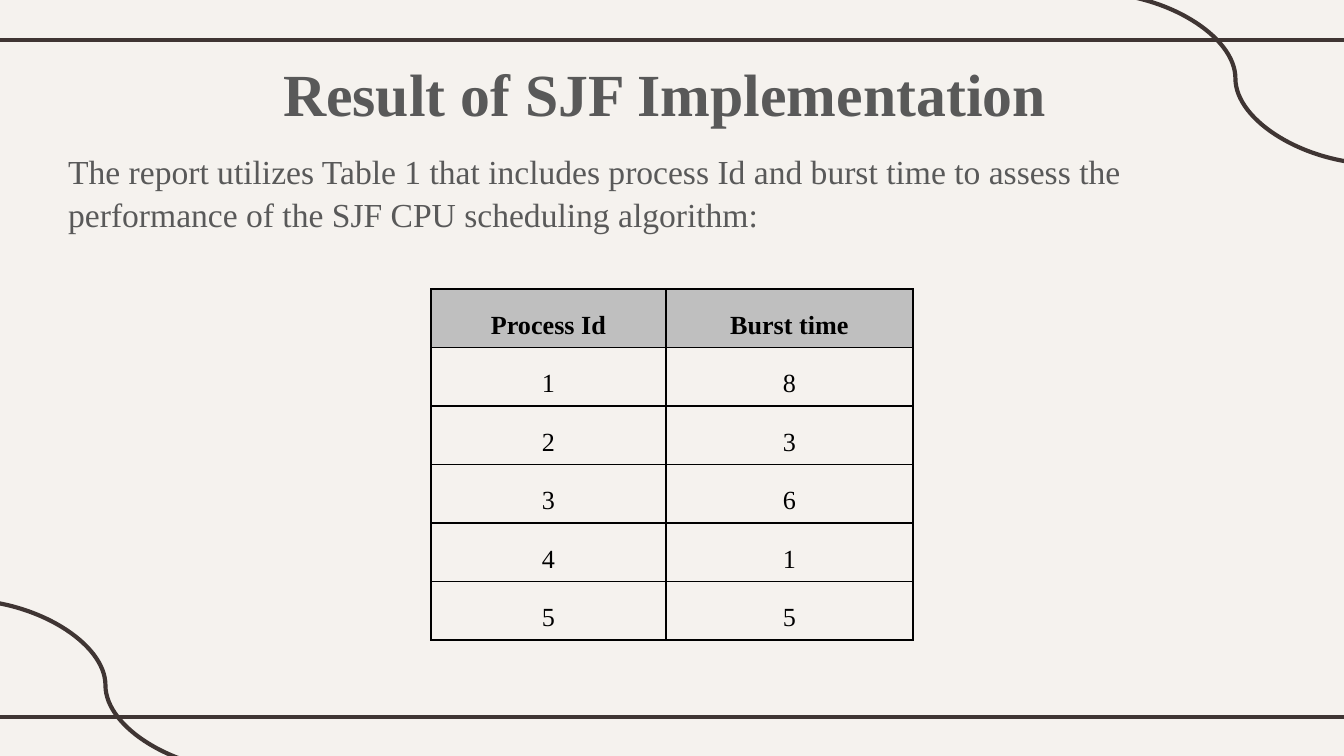
"""Build the slide showing the process table used for the SJF scheduling result."""
import pptx
import pptx.dml.color
import pptx.enum.shapes
import pptx.enum.text
import pptx.oxml
import pptx.oxml.ns
import pptx.util
from lxml import etree

PX = 914400 / 134.4
CREAM = pptx.dml.color.RGBColor(0xF5, 0xF2, 0xEE)
BROWN = pptx.dml.color.RGBColor(0x3F, 0x35, 0x33)
GRAY = pptx.dml.color.RGBColor(0x59, 0x59, 0x59)
SILVER = pptx.dml.color.RGBColor(0xBF, 0xBF, 0xBF)
BLACK = pptx.dml.color.RGBColor(0, 0, 0)
CENTER = pptx.enum.text.PP_ALIGN.CENTER
MIDDLE = pptx.enum.text.MSO_ANCHOR.MIDDLE
STRAIGHT = pptx.enum.shapes.MSO_CONNECTOR.STRAIGHT
CURVE = pptx.enum.shapes.MSO_CONNECTOR.CURVE


def px(*lengths):
    return [pptx.util.Emu(round(length * PX)) for length in lengths]


def write(paragraph, text, size, color, bold=False):
    paragraph.text = text
    paragraph.font.name = "Times New Roman"
    paragraph.font.size = pptx.util.Pt(size)
    paragraph.font.bold = bold
    paragraph.font.color.rgb = color


deck = pptx.Presentation()
deck.slide_width, deck.slide_height = px(1344, 756)
slide = deck.slides.add_slide(deck.slide_layouts[6])
slide.background.fill.solid()
slide.background.fill.fore_color.rgb = CREAM

for kind, x1, y1, x2, y2 in [
    (STRAIGHT, -11, 40, 1355, 40),
    (STRAIGHT, -11, 717, 1355, 717),
    (CURVE, -36, 600, 247, 771),
    (CURVE, 1094, -7, 1377, 164),
]:
    flourish = slide.shapes.add_connector(kind, *px(x1, y1, x2, y2))
    flourish.line.color.rgb = BROWN
    flourish.line.width = pptx.util.Pt(2.25)
    etree.SubElement(flourish._element.spPr, pptx.oxml.ns.qn("a:effectLst"))

title = slide.shapes.add_textbox(*px(253, 0, 839, 172)).text_frame
title.word_wrap = True
title.margin_top, title.margin_left, title.margin_right = px(21, 13, 13)
heading = title.paragraphs[0]
write(heading, "Result of SJF Implementation ", 32, GRAY, True)
heading.alignment = CENTER
heading.line_spacing = 1.5

intro = slide.shapes.add_textbox(*px(55, 141, 1234, 208)).text_frame
intro.word_wrap = True
write(
    intro.paragraphs[0],
    "The report utilizes Table 1 that includes process Id and burst time "
    "to assess the performance of the SJF CPU scheduling algorithm:",
    18,
    GRAY,
)
intro.paragraphs[0].line_spacing = 1.07

processes = [
    ("Process Id", "Burst time"),
    ("1", "8"),
    ("2", "3"),
    ("3", "6"),
    ("4", "1"),
    ("5", "5"),
]
table = slide.shapes.add_table(len(processes), 2, *px(431, 289, 482, 351)).table
table.first_row = table.horz_banding = False
table.columns[0].width, table.columns[1].width = px(235, 247)

for row, values in enumerate(processes):
    for column, value in enumerate(values):
        cell = table.cell(row, column)
        cell.vertical_anchor = MIDDLE
        cell.margin_left, cell.margin_top, cell.margin_right, cell.margin_bottom = px(9, 0, 9, 0)
        entry = cell.text_frame.paragraphs[0]
        write(entry, value, 14, BLACK, row == 0)
        entry.alignment = CENTER
        entry.line_spacing = 1.5
        properties = cell._tc.get_or_add_tcPr()
        for side in ("lnL", "lnR", "lnT", "lnB"):
            properties.append(pptx.oxml.parse_xml(
                f'<a:{side} {pptx.oxml.ns.nsdecls("a")} w="12700"><a:solidFill>'
                f'<a:srgbClr val="{BLACK}"/></a:solidFill></a:{side}>'
            ))
        if row == 0:
            cell.fill.solid()
            cell.fill.fore_color.rgb = SILVER
        else:
            cell.fill.background()

deck.save("out.pptx")
